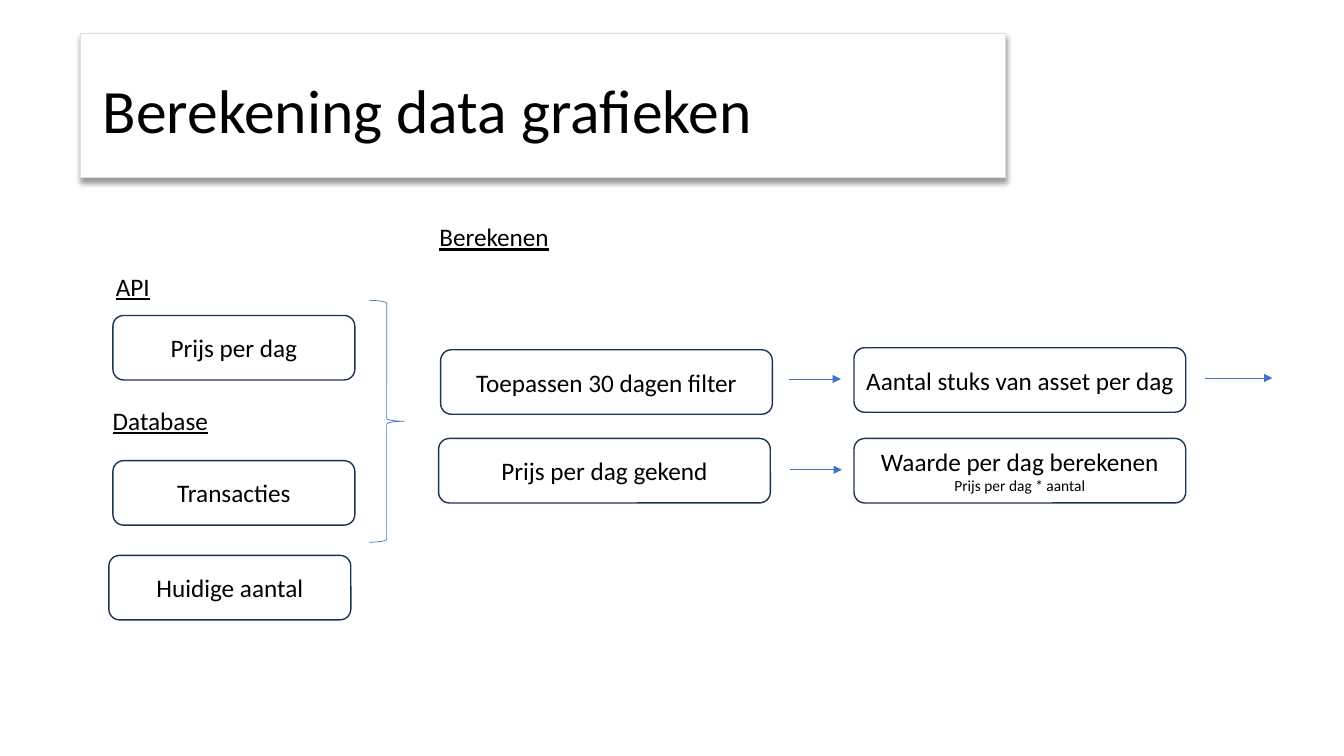
"""Build the slide that shows how the chart data is calculated."""
from dataclasses import dataclass

from lxml.etree import SubElement
from pptx import Presentation
from pptx.dml.color import RGBColor
from pptx.enum.shapes import MSO_CONNECTOR, MSO_SHAPE
from pptx.enum.text import MSO_ANCHOR, PP_ALIGN
from pptx.oxml import parse_xml
from pptx.oxml.ns import nsdecls, qn
from pptx.util import Inches, Pt

FONT = "Calibri"
BLACK, WHITE, GRAY = "000000", "FFFFFF", "DEDEDE"
NAVY, BLUE = "1E3256", "4472C4"
STEP_HEIGHT = 0.64
SOURCE_WIDTH, CALCULATION_WIDTH = 2.4, 3.29


@dataclass
class Step:
    left: float
    top: float
    width: float
    text: str
    detail: str = ""


@dataclass
class Heading:
    left: float
    top: float
    text: str


@dataclass
class Arrow:
    left: float
    top: float
    length: float


STEPS = [
    Step(1.12, 3.13, SOURCE_WIDTH, "Prijs per dag"),
    Step(1.12, 4.57, SOURCE_WIDTH, "Transacties"),
    Step(1.08, 5.51, SOURCE_WIDTH, "Huidige aantal"),
    Step(4.37, 3.47, CALCULATION_WIDTH, "Toepassen 30 dagen filter"),
    Step(4.35, 4.35, CALCULATION_WIDTH, "Prijs per dag gekend"),
    Step(8.47, 3.45, CALCULATION_WIDTH, "Aantal stuks van asset per dag"),
    Step(8.47, 4.35, CALCULATION_WIDTH, "Waarde per dag berekenen", "Prijs per dag * aantal"),
]
HEADINGS = [
    Heading(1.05, 2.64, "API"),
    Heading(1.02, 3.97, "Database"),
    Heading(4.26, 2.15, "Berekenen"),
]
ARROWS = [Arrow(7.83, 3.76, 0.51), Arrow(7.84, 4.66, 0.51), Arrow(11.95, 3.75, 0.67)]


def color(value: str) -> RGBColor:
    """Turn a hex string into a colour."""
    return RGBColor.from_string(value)


def style_text(para, size: float, underline: bool = False) -> None:
    """Format every run of a paragraph."""
    for span in para.runs:
        span.font.name = FONT
        span.font.size = Pt(size)
        span.font.color.rgb = color(BLACK)
        if underline:
            span.font.underline = True


def add_outline(page, kind, left: float, top: float, width: float, height: float,
                line: str, weight: float):
    """Add an unfilled preset shape with a plain line."""
    shape = page.shapes.add_shape(kind, Inches(left), Inches(top), Inches(width), Inches(height))
    shape.shadow.inherit = False
    shape.fill.background()
    shape.line.color.rgb = color(line)
    shape.line.width = Pt(weight)
    return shape


def add_title(page, text: str) -> None:
    """Place the title on a white panel with a soft shadow."""
    panel = add_outline(page, MSO_SHAPE.RECTANGLE, 0.8, 0.33, 9.17, 1.43, GRAY, 0.75)
    panel.fill.solid()
    panel.fill.fore_color.rgb = color(WHITE)
    effects = panel._element.spPr.find(qn("a:effectLst"))
    effects.append(parse_xml(
        f'<a:outerShdw {nsdecls("a")} blurRad="{Pt(4)}" dist="{Pt(3)}" dir="5400000" '
        f'algn="t" rotWithShape="0"><a:srgbClr val="{BLACK}"><a:alpha val="40000"/>'
        '</a:srgbClr></a:outerShdw>'))
    title = page.shapes.title
    title._element.addprevious(panel._element)
    title.left, title.top = Inches(0.92), Inches(0.4)
    title.width, title.height = Inches(11.5), Inches(1.45)
    title.text_frame.text = text
    title.text_frame.vertical_anchor = MSO_ANCHOR.MIDDLE
    para = title.text_frame.paragraphs[0]
    para.alignment = PP_ALIGN.LEFT
    para.line_spacing = 0.9
    style_text(para, 44)


def add_step(page, step: Step) -> None:
    """Add a rounded box with a centred label and optional detail."""
    box = add_outline(page, MSO_SHAPE.ROUNDED_RECTANGLE, step.left, step.top,
                      step.width, STEP_HEIGHT, NAVY, 1)
    frame = box.text_frame
    frame.word_wrap = True
    frame.vertical_anchor = MSO_ANCHOR.MIDDLE
    frame.margin_left = frame.margin_right = Inches(0.03)
    frame.margin_top = frame.margin_bottom = Inches(0)
    frame.text = f"{step.text}\n{step.detail}" if step.detail else step.text
    for para, size in zip(frame.paragraphs, (18, 11)):
        para.alignment = PP_ALIGN.CENTER
        style_text(para, size)


def add_heading(page, heading: Heading) -> None:
    """Add an underlined group heading."""
    box = page.shapes.add_textbox(Inches(heading.left), Inches(heading.top),
                                  Inches(2.4), Inches(0.4))
    box.text_frame.word_wrap = True
    box.text_frame.text = heading.text
    style_text(box.text_frame.paragraphs[0], 18, underline=True)


def add_arrow(page, arrow: Arrow) -> None:
    """Add a horizontal arrow pointing right."""
    top = Inches(arrow.top)
    line = page.shapes.add_connector(MSO_CONNECTOR.STRAIGHT, Inches(arrow.left), top,
                                     Inches(arrow.left + arrow.length), top)
    line.line.color.rgb = color(BLUE)
    line.line.width = Pt(0.5)
    SubElement(line.line._get_or_add_ln(), qn("a:tailEnd"), type="triangle")
    SubElement(line._element.spPr, qn("a:effectLst"))


def main() -> None:
    """Build and save the deck."""
    deck = Presentation()
    deck.slide_width, deck.slide_height = Inches(13.33), Inches(7.5)
    page = deck.slides.add_slide(deck.slide_layouts[5])
    add_title(page, "Berekening data grafieken")
    for step in STEPS:
        add_step(page, step)
    for heading in HEADINGS:
        add_heading(page, heading)
    add_outline(page, MSO_SHAPE.RIGHT_BRACE, 3.66, 2.98, 0.35, 2.4, BLUE, 0.5)
    for arrow in ARROWS:
        add_arrow(page, arrow)
    deck.save("out.pptx")


if __name__ == "__main__":
    main()
